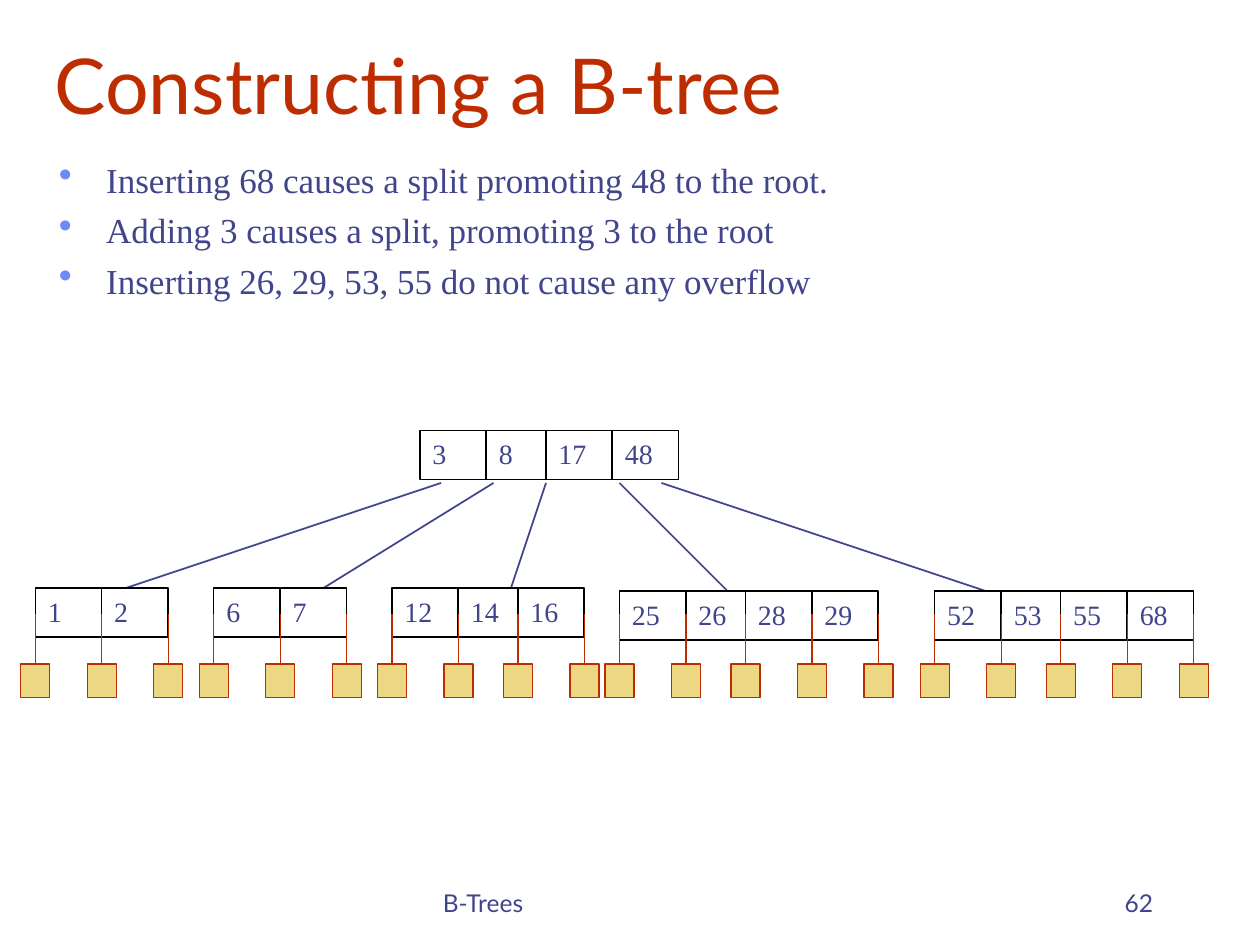
from pptx import Presentation
from pptx.dml.color import RGBColor
from pptx.enum.shapes import MSO_CONNECTOR, MSO_SHAPE
from pptx.enum.text import MSO_ANCHOR, MSO_AUTO_SIZE, PP_ALIGN
from pptx.oxml.ns import qn
from pptx.util import Pt
from lxml import etree

RECT, STRAIGHT = MSO_SHAPE.RECTANGLE, MSO_CONNECTOR.STRAIGHT
TOP, BOTTOM = MSO_ANCHOR.TOP, MSO_ANCHOR.BOTTOM
LEFT, RIGHT = PP_ALIGN.LEFT, PP_ALIGN.RIGHT
NO_FIT = MSO_AUTO_SIZE.NONE

HEADING, BODY = "Lato", "Times New Roman"
RED, INDIGO, BLUE = "BE2D00", "40458C", "6F89F7"
WHITE, BLACK, SAND = "FFFFFF", "000000", "ECD882"

CELL_W, CELL_H = 37.8, 28
LEAF_W, LEAF_H, LEAF_Y = 16.6, 19.4, 379.4
STEM_Y = 350.6


def rgb(value):
    return RGBColor.from_string(value)


def place(sp, box):
    sp.left, sp.top, sp.width, sp.height = [Pt(v) for v in box]


def add_text(p, text, size, font, color, align=LEFT):
    p.alignment = align
    r = p.add_run()
    r.text = text
    r.font.size, r.font.name = Pt(size), font
    r.font.color.rgb = rgb(color)


def add_frame(s, box, anchor=TOP):
    tf = s.shapes.add_textbox(*[Pt(v) for v in box]).text_frame
    tf.word_wrap = True
    tf.vertical_anchor = anchor
    return tf


def add_line(s, x1, y1, x2, y2, color, width):
    line = s.shapes.add_connector(STRAIGHT, Pt(x1), Pt(y1), Pt(x2), Pt(y2))
    line.line.color.rgb = rgb(color)
    line.line.width = Pt(width)
    etree.SubElement(line._element.spPr, qn("a:effectLst"))


def add_rect(s, box, fill, outline):
    sp = s.shapes.add_shape(RECT, *[Pt(v) for v in box])
    sp.shadow.inherit = False
    sp.fill.solid()
    sp.fill.fore_color.rgb = rgb(fill)
    sp.line.color.rgb = rgb(outline)
    sp.line.width = Pt(0.75)
    return sp


def add_title(s, box, text):
    title = s.shapes.title
    place(title, box)
    tf = title.text_frame
    tf.auto_size = NO_FIT
    tf.vertical_anchor = BOTTOM
    add_text(tf.paragraphs[0], text, 44, HEADING, RED)


def add_bullets(s, box, items):
    tf = add_frame(s, box)
    for i, item in enumerate(items):
        p = tf.add_paragraph() if i else tf.paragraphs[0]
        pPr = p._p.get_or_add_pPr()
        pPr.set("marL", str(Pt(27)))
        pPr.set("indent", str(-Pt(27)))
        color = etree.SubElement(pPr, qn("a:buClr"))
        etree.SubElement(color, qn("a:srgbClr"), val=BLUE)
        etree.SubElement(pPr, qn("a:buSzPct"), val="110000")
        etree.SubElement(pPr, qn("a:buChar"), char="•")
        p.space_before = Pt(4.8 if i else 0)
        add_text(p, item, 20, BODY, INDIGO)


def add_footer(s, box, text, align=LEFT):
    tf = add_frame(s, box, BOTTOM)
    add_text(tf.paragraphs[0], text, 14, HEADING, INDIGO, align)


def key_edges(x, count):
    # The middle pair of keys overlaps slightly in nodes of three or more
    return [x + 38 * i - (4 if count > 2 and i > 1 else 0) for i in range(count + 1)]


def add_node(s, x, y, keys):
    for left, key in zip(key_edges(x, len(keys)), keys):
        tf = add_rect(s, (left, y, CELL_W, CELL_H), WHITE, BLACK).text_frame
        tf.word_wrap = True
        tf.vertical_anchor = TOP
        add_text(tf.paragraphs[0], str(key), 16, BODY, INDIGO)


def add_leaves(s, x, count):
    for edge in key_edges(x, count):
        add_rect(s, (edge - LEAF_W / 2, LEAF_Y, LEAF_W, LEAF_H), SAND, RED)
        add_line(s, edge, STEM_Y, edge, LEAF_Y, RED, 0.75)


def add_tree(s, root, children, branches):
    # Branches lie behind the nodes
    for x1, x2, y2 in branches:
        add_line(s, x1, 276, x2, y2, INDIGO, 1)
    for node in [root] + children:
        add_node(s, *node)
    # External leaves hang from every key boundary
    for x, _, keys in children:
        add_leaves(s, x, len(keys))


def main():
    prs = Presentation()
    prs.slide_width, prs.slide_height = Pt(720), Pt(540)
    s = prs.slides.add_slide(prs.slide_layouts[5])

    add_title(s, (24, 12, 684, 66), "Constructing a B-tree")
    add_bullets(s, (26.6, 87, 684, 117), [
        "Inserting 68 causes a split promoting 48 to the root.",
        "Adding 3 causes a split, promoting 3 to the root",
        "Inserting 26, 29, 53, 55 do not cause any overflow",
    ])

    # Tree: nodes as left, top, keys; branches as start x, end x, end y
    add_tree(
        s,
        (240, 246, [3, 8, 17, 48]),
        [
            (20.2, 336, [1, 2]),
            (122.2, 336, [6, 7]),
            (224, 336, [12, 14, 16]),
            (354, 337.7, [25, 26, 28, 29]),
            (534.2, 337.7, [52, 53, 55, 68]),
        ],
        [(252, 66, 338), (282, 159, 352), (312, 288, 348),
         (354, 426, 348), (378, 594, 348)],
    )

    add_footer(s, (246, 492, 228, 36), "B-Trees")
    add_footer(s, (516, 492, 150, 36), "62", RIGHT)
    prs.save("out.pptx")


if __name__ == "__main__":
    main()
